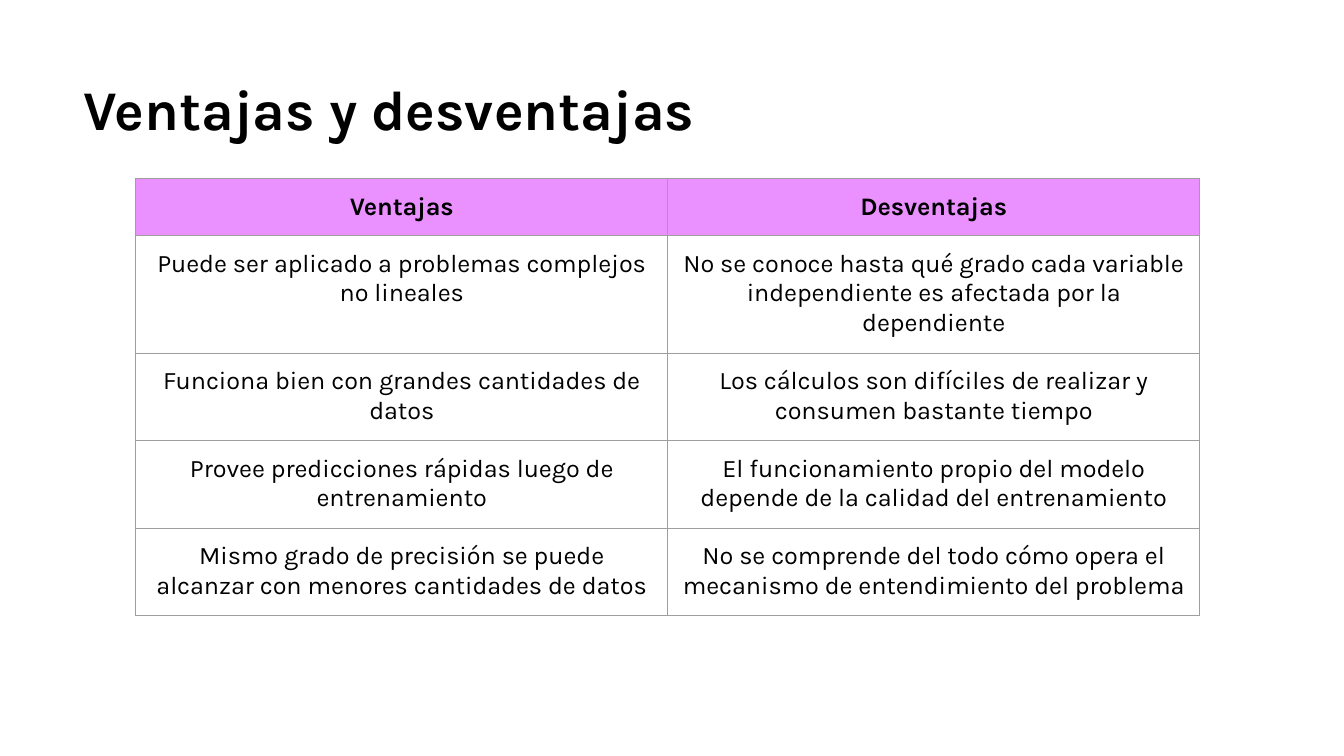
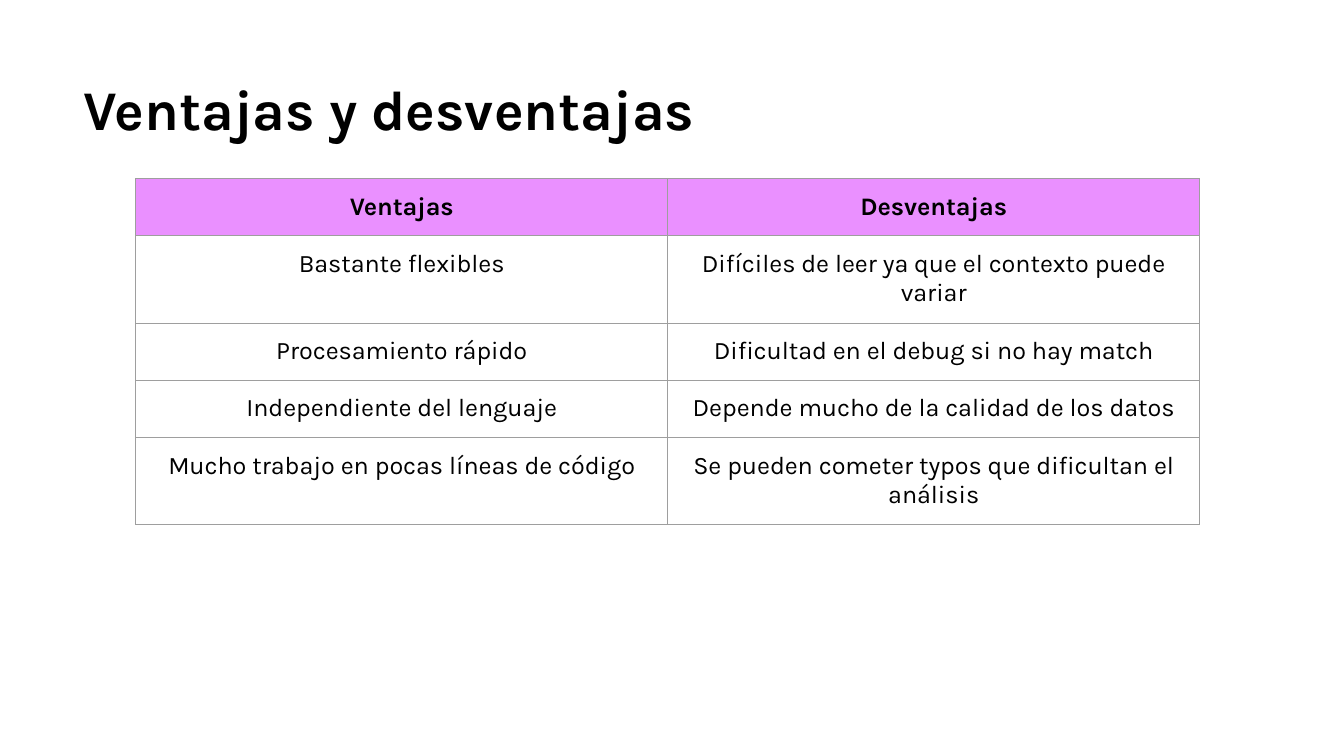
"""Build two slides that compare advantages and disadvantages in tables."""
from lxml import etree
from pptx import Presentation
from pptx.dml.color import RGBColor
from pptx.enum.text import MSO_AUTO_SIZE, PP_ALIGN
from pptx.oxml.ns import qn
from pptx.util import Pt

CENTER = PP_ALIGN.CENTER
GROW = MSO_AUTO_SIZE.SHAPE_TO_FIT_TEXT
BLACK = RGBColor(0x00, 0x00, 0x00)
PINK = RGBColor(0xEA, 0x90, 0xFF)
GRAY = RGBColor(0x9E, 0x9E, 0x9E)

TITLE = "Ventajas y desventajas"
HEADER = ("Ventajas", "Desventajas")
TITLE_FORMAT = {"name": "Karla", "size": Pt(30), "bold": True}
HEADER_FORMAT = {"name": "Karla", "size": Pt(13.5), "bold": True}
BODY_FORMAT = {"name": "Karla", "size": Pt(13.5), "bold": False}
INSETS = {f"margin_{side}": Pt(7.2) for side in ("left", "top", "right", "bottom")}
COLUMN_WIDTH = Pt(285)
ROW_HEIGHT = Pt(30.24)

COMPARISONS = [
    [
        ("Puede ser aplicado a problemas complejos no lineales",
         "No se conoce hasta qué grado cada variable independiente es afectada por la dependiente"),
        ("Funciona bien con grandes cantidades de datos",
         "Los cálculos son difíciles de realizar y consumen bastante tiempo"),
        ("Provee predicciones rápidas luego de entrenamiento",
         "El funcionamiento propio del modelo depende de la calidad del entrenamiento"),
        ("Mismo grado de precisión se puede alcanzar con menores cantidades de datos",
         "No se comprende del todo cómo opera el mecanismo de entendimiento del problema"),
    ],
    [
        ("Bastante flexibles", "Difíciles de leer ya que el contexto puede variar"),
        ("Procesamiento rápido", "Dificultad en el debug si no hay match"),
        ("Independiente del lenguaje", "Depende mucho de la calidad de los datos"),
        ("Mucho trabajo en pocas líneas de código",
         "Se pueden cometer typos que dificultan el análisis"),
    ],
]


def write_text(paragraph, text, text_format):
    run = paragraph.add_run()
    run.text = text
    run.font.color.rgb = BLACK
    for name, value in text_format.items():
        setattr(run.font, name, value)


def add_borders(cell):
    properties = cell._tc.get_or_add_tcPr()
    for position, side in enumerate(("a:lnL", "a:lnR", "a:lnT", "a:lnB")):
        line = etree.Element(qn(side), w=str(Pt(0.75)))
        fill = etree.SubElement(line, qn("a:solidFill"))
        etree.SubElement(fill, qn("a:srgbClr"), val=str(GRAY))
        properties.insert(position, line)


presentation = Presentation()
presentation.slide_width = Pt(720)
presentation.slide_height = Pt(405)

for comparison in COMPARISONS:
    slide = presentation.slides.add_slide(presentation.slide_layouts[6])

    title = slide.shapes.add_textbox(Pt(37.5), Pt(36.75), Pt(641), Pt(47.5))
    title_frame = title.text_frame
    title_frame.word_wrap = True
    title_frame.auto_size = GROW
    for name, value in INSETS.items():
        setattr(title_frame, name, value)
    title_frame.paragraphs[0].line_spacing = 0.9
    write_text(title_frame.paragraphs[0], TITLE, TITLE_FORMAT)

    rows = [HEADER, *comparison]
    table = slide.shapes.add_table(
        len(rows), len(HEADER), Pt(72.75), Pt(95.75),
        COLUMN_WIDTH * len(HEADER), ROW_HEIGHT * len(rows)).table
    table.first_row = False
    table.horz_banding = False

    for row_index, texts in enumerate(rows):
        is_header = row_index == 0
        for column_index, text in enumerate(texts):
            cell = table.cell(row_index, column_index)
            for name, value in INSETS.items():
                setattr(cell, name, value)
            if is_header:
                cell.fill.solid()
                cell.fill.fore_color.rgb = PINK
            else:
                cell.fill.background()
            add_borders(cell)
            paragraph = cell.text_frame.paragraphs[0]
            paragraph.alignment = CENTER
            write_text(paragraph, text, HEADER_FORMAT if is_header else BODY_FORMAT)

presentation.save("out.pptx")
